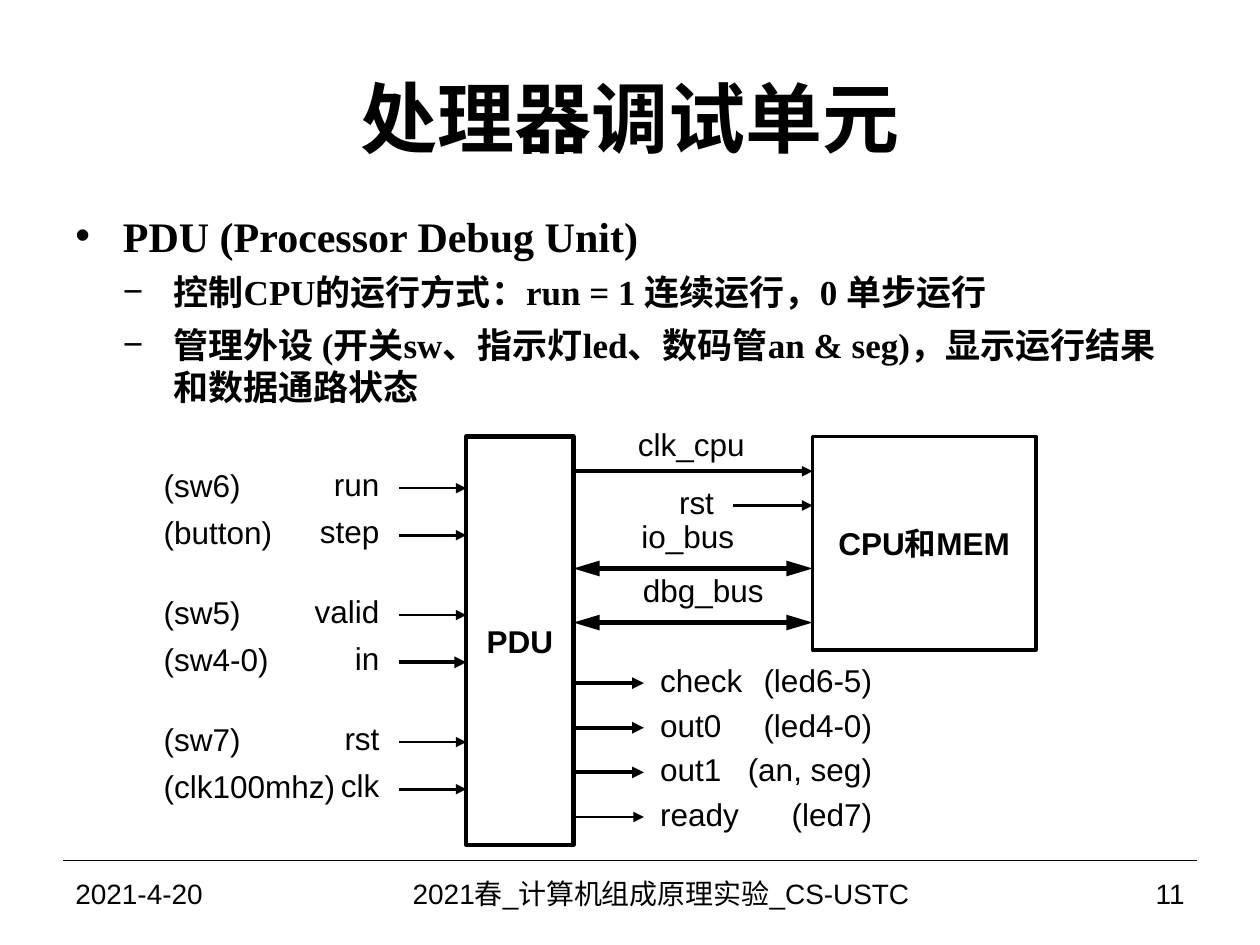
from dataclasses import dataclass

from lxml import etree
from pptx import Presentation
from pptx.dml.color import RGBColor
from pptx.enum import shapes, text
from pptx.oxml.ns import qn
from pptx.util import Cm, Pt

LEFT, CENTER, RIGHT = text.PP_ALIGN.LEFT, text.PP_ALIGN.CENTER, text.PP_ALIGN.RIGHT


@dataclass(frozen=True)
class Theme:
    ink: RGBColor = RGBColor(0, 0, 0)
    sans: str = "Arial"
    serif: str = "Times New Roman"
    title: int = 44
    body: tuple = (24, 20)
    label: int = 18
    footer: int = 16
    hairline: float = 0.75
    wire: float = 1.5
    clock_wire: float = 2
    wide_wire: float = 2.25
    bus: float = 3


@dataclass(frozen=True)
class Box:
    left: float
    top: float
    width: float
    height: float

    def lengths(self):
        return [Cm(value) for value in (self.left, self.top, self.width, self.height)]


THEME = Theme()


def add_run(paragraph, words, size, bold=False, font=THEME.sans):
    run = paragraph.add_run()
    run.text = words
    run.font.size, run.font.bold, run.font.name = Pt(size), bold, font
    run.font.color.rgb = THEME.ink


def add_text(slide, box, words, size, align=LEFT, inset=0.0):
    """Add one vertically centred line of text."""
    frame = slide.shapes.add_textbox(*box.lengths()).text_frame
    frame.word_wrap = True
    frame.vertical_anchor = text.MSO_ANCHOR.MIDDLE
    frame.margin_left = frame.margin_right = Cm(inset)
    frame.margin_top = frame.margin_bottom = 0
    paragraph = frame.paragraphs[0]
    paragraph.alignment = align
    add_run(paragraph, words, size)


def add_label(slide, x, y, words, align=LEFT):
    """Add a signal name whose left or right edge is x and whose middle is y."""
    width, height = 4.4, 0.8
    left = x - width if align == RIGHT else x
    add_text(slide, Box(left, y - height / 2, width, height), words, THEME.label, align)


def add_wire(slide, start, end, weight, ends=(), length="med"):
    """Add a straight line; ends may hold headEnd and tailEnd, in that order."""
    points = [Cm(value) for value in (*start, *end)]
    wire = slide.shapes.add_connector(shapes.MSO_CONNECTOR.STRAIGHT, *points)
    wire.line.width = Pt(weight)
    wire.line.color.rgb = THEME.ink
    line = wire.line._get_or_add_ln()
    for end_name in ends:
        etree.SubElement(line, qn(f"a:{end_name}"), type="triangle", w="med", len=length)
    etree.SubElement(wire._element.spPr, qn("a:effectLst"))


def add_block(slide, box, name, weight):
    block = slide.shapes.add_shape(shapes.MSO_SHAPE.RECTANGLE, *box.lengths())
    block.shadow.inherit = False
    block.fill.background()
    block.line.color.rgb = THEME.ink
    block.line.width = Pt(weight)
    frame = block.text_frame
    frame.word_wrap = False
    frame.vertical_anchor = text.MSO_ANCHOR.MIDDLE
    frame.margin_left = frame.margin_right = 0
    paragraph = frame.paragraphs[0]
    paragraph.alignment = CENTER
    add_run(paragraph, name, THEME.label, bold=True)


def fill_title(slide, box, words):
    title = slide.shapes.title
    title.left, title.top, title.width, title.height = box.lengths()
    frame = title.text_frame
    frame.auto_size = text.MSO_AUTO_SIZE.NONE
    frame.vertical_anchor = text.MSO_ANCHOR.MIDDLE
    frame.paragraphs[0].alignment = CENTER
    add_run(frame.paragraphs[0], words, THEME.title, bold=True)


def add_bullets(slide, box, items):
    frame = slide.shapes.add_textbox(*box.lengths()).text_frame
    frame.word_wrap = True
    styles = (("•", 0.96, 0.96), ("−", 1.98, 1.02))
    for index, (level, words) in enumerate(items):
        paragraph = frame.add_paragraph() if index else frame.paragraphs[0]
        paragraph.level = level
        paragraph.space_before = Pt(6)
        mark, margin, hanging = styles[level]
        properties = paragraph._p.get_or_add_pPr()
        properties.set("marL", str(Cm(margin)))
        properties.set("indent", str(-Cm(hanging)))
        color = etree.SubElement(properties, qn("a:buClr"))
        etree.SubElement(color, qn("a:srgbClr"), val=str(THEME.ink))
        etree.SubElement(properties, qn("a:buFont"), typeface=THEME.sans)
        etree.SubElement(properties, qn("a:buChar"), char=mark)
        add_run(paragraph, words, THEME.body[level], bold=True, font=THEME.serif)


def add_inputs(slide, box):
    """Draw the PDU inputs: pairs of rows, each with source, signal and wire."""
    pairs = (
        (("(sw6)", "run"), ("(button)", "step")),
        (("(sw5)", "valid"), ("(sw4-0)", "in")),
        (("(sw7)", "rst"), ("(clk100mhz)", "clk")),
    )
    right = box.left + box.width
    for group, pair in enumerate(pairs):
        for row, (source, signal) in enumerate(pair):
            y = box.top + 2.56 * group + 0.95 * row
            add_label(slide, box.left, y - 0.07, source)
            add_label(slide, right - 1.75, y - 0.09, signal, RIGHT)
            weight = THEME.wide_wire if signal == "in" else THEME.wire
            add_wire(slide, (right - 1.35, y), (right, y), weight, ["tailEnd"])


def add_outputs(slide, box):
    """Draw the PDU outputs: rows of wire, signal and target."""
    rows = (("check", "(led6-5)"), ("out0", "(led4-0)"),
            ("out1", "(an, seg)"), ("ready", "(led7)"))
    for row, (signal, target) in enumerate(rows):
        y = box.top + row * 0.9
        weight = THEME.wire if signal == "ready" else THEME.wide_wire
        add_wire(slide, (box.left, y), (box.left + 1.42, y), weight, ["tailEnd"])
        add_label(slide, box.left + 1.75, y - 0.06, signal)
        add_label(slide, box.left + box.width, y - 0.06, target, RIGHT)


def add_links(slide, box):
    """Draw the signals and buses that span from the PDU to the CPU."""
    one_way, two_way = ["tailEnd"], ["headEnd", "tailEnd"]
    links = (
        ("clk_cpu", 1.3, 0.14, 0, 0.7, THEME.clock_wire, one_way, "med"),
        ("rst", 2.13, 1.31, 3.22, 1.39, THEME.clock_wire, one_way, "med"),
        ("io_bus", 1.37, 2.0, 0, 2.66, THEME.bus, two_way, "lg"),
        ("dbg_bus", 1.4, 3.09, 0, 3.75, THEME.bus, two_way, "lg"),
    )
    for name, label_x, label_y, start, y, weight, ends, length in links:
        add_label(slide, box.left + label_x, box.top + label_y, name)
        add_wire(slide, (box.left + start, box.top + y),
                 (box.left + box.width, box.top + y), weight, ends, length)


def add_diagram(slide, box):
    pdu = Box(box.left + 6.1, box.top, 2.16, box.height)
    cpu = Box(box.left + 13.08, box.top, 4.5, 4.3)
    pdu_right = pdu.left + pdu.width
    add_block(slide, pdu, "PDU", 2.5)
    add_block(slide, cpu, "CPU和MEM", THEME.wide_wire)
    add_inputs(slide, Box(box.left, box.top + 1.04, 6.1, 6.1))
    add_links(slide, Box(pdu_right, box.top, cpu.left - pdu_right, cpu.height))
    add_outputs(slide, Box(pdu_right, box.top + 4.97, 6.02, 2.7))


def add_footer(slide, box):
    right = box.left + box.width
    add_wire(slide, (box.left, box.top), (right, box.top), THEME.hairline)
    parts = ((box.left, 5.92, "2021-4-20", LEFT),
             (box.left + 5.92, 12.27, "2021春_计算机组成原理实验_CS-USTC", CENTER),
             (right - 4.65, 4.65, "11", RIGHT))
    for left, width, words, align in parts:
        add_text(slide, Box(left, box.top, width, box.height), words,
                 THEME.footer, align, inset=0.25)


def main():
    presentation = Presentation()
    presentation.slide_width, presentation.slide_height = Cm(25.4), Cm(19.05)
    slide = presentation.slides.add_slide(presentation.slide_layouts.get_by_name("Title Only"))
    fill_title(slide, Box(1.27, 0.76, 22.86, 3.18), "处理器调试单元")
    add_bullets(slide, Box(1.27, 4.11, 22.43, 4.52), (
        (0, "PDU (Processor Debug Unit)"),
        (1, "控制CPU的运行方式：run = 1 连续运行，0 单步运行"),
        (1, "管理外设 (开关sw、指示灯led、数码管an & seg)，显示运行结果和数据通路状态"),
    ))
    add_diagram(slide, Box(3.3, 8.8, 17.58, 8.23))
    add_footer(slide, Box(1.27, 17.35, 22.86, 1.32))
    presentation.save("out.pptx")


if __name__ == "__main__":
    main()
